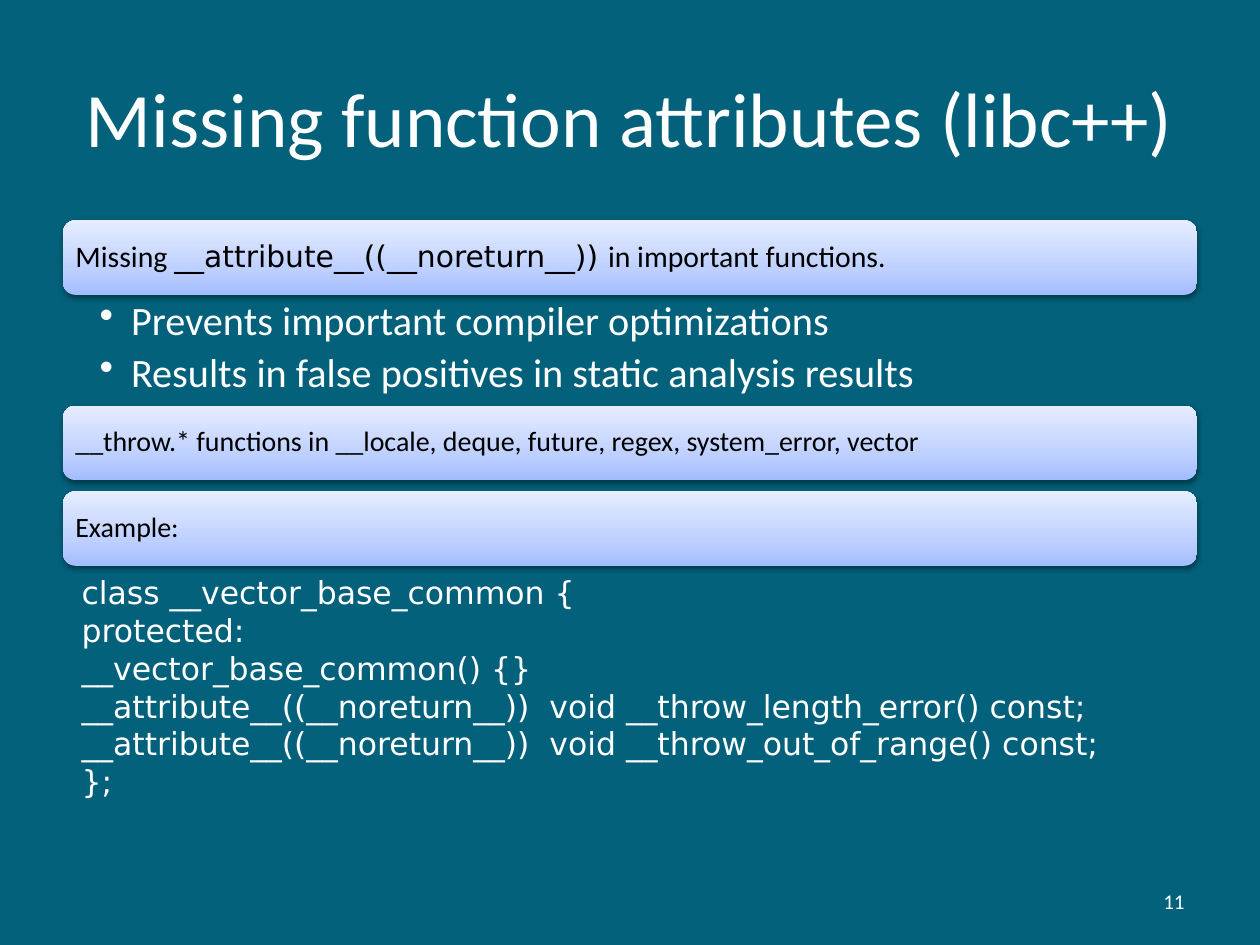
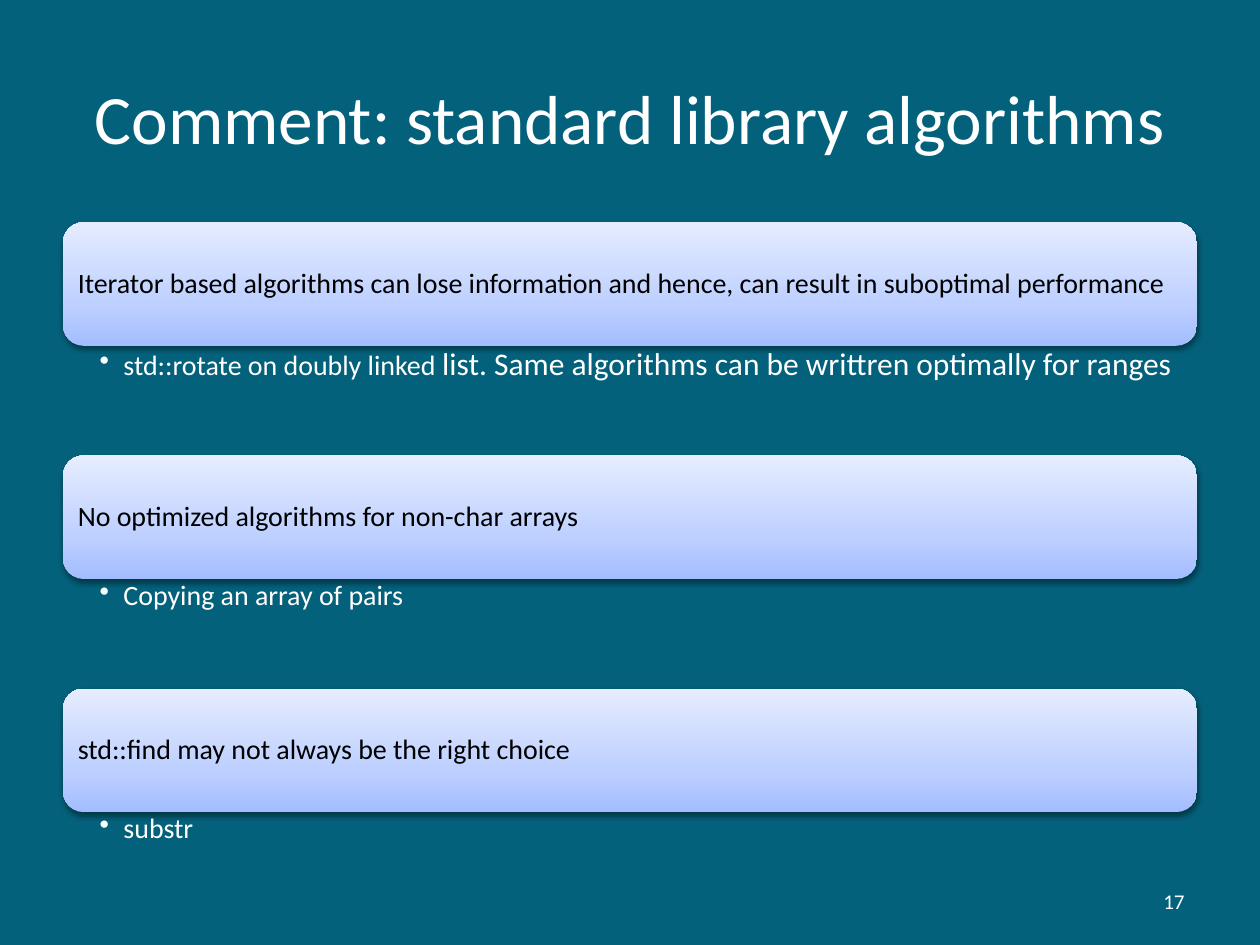
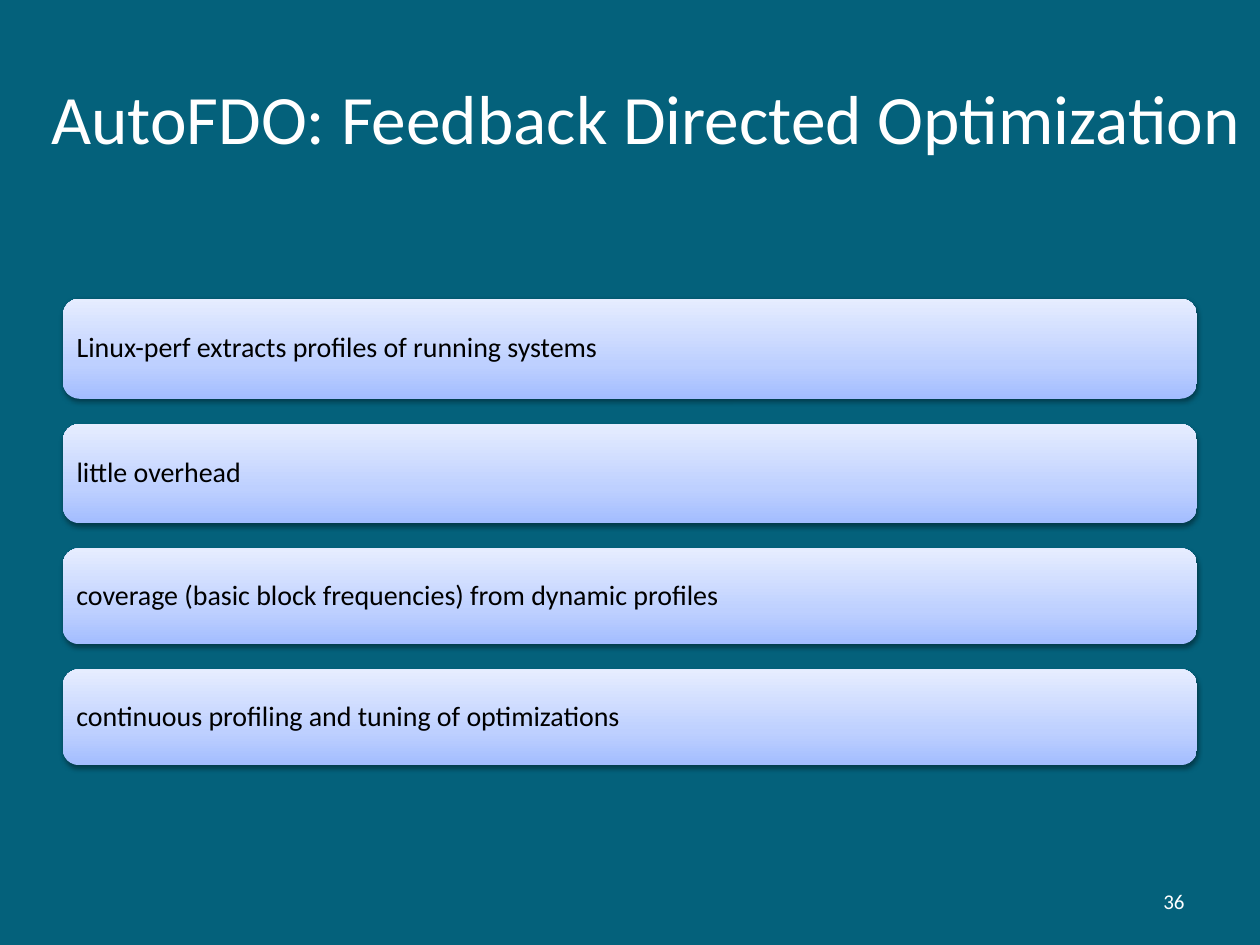
from copy import deepcopy
from dataclasses import dataclass

from lxml.etree import SubElement
from pptx import Presentation
from pptx.dml.color import RGBColor
from pptx.enum.shapes import MSO_SHAPE
from pptx.enum.text import MSO_ANCHOR, MSO_AUTO_SIZE, PP_ALIGN
from pptx.oxml.ns import qn
from pptx.util import Inches, Pt


@dataclass(frozen=True)
class Theme:
    """Colours, fonts and type sizes of the deck."""
    background: str = "04617B"
    light: str = "FFFFFF"
    dark: str = "000000"
    bar_stops: tuple = ((0, "A3BDFF"), (0.35, "BED0FF"), (1, "E6EDFF"))
    text_font: str = "Calibri"
    code_font: str = "DejaVu Sans"
    title: float = 44
    long_title: float = 39.6
    large_list: float = 23
    code: float = 18
    emphasis: float = 18
    signature: float = 17
    body: float = 16
    footer: float = 12


@dataclass(frozen=True)
class Box:
    """An area in inches, divided into 100 columns and 100 rows."""
    left: float
    top: float
    width: float
    height: float

    def cells(self, column, row, columns, rows):
        """Return the box that covers the given columns and rows."""
        return Box(self.left + self.width * column / 100, self.top + self.height * row / 100,
                   self.width * columns / 100, self.height * rows / 100)

    def emu(self):
        """Return left, top, width and height for a shape."""
        return [Inches(value) for value in (self.left, self.top, self.width, self.height)]


@dataclass(frozen=True)
class ListStyle:
    """Type size, hanging indent and insets of a bullet list."""
    size: float
    hanging: float
    insets: tuple


THEME = Theme()
PAGE = Box(0, 0, 10, 7.5)
TITLE = PAGE.cells(5, 4, 90, 16.67)
WIDE_TITLE = PAGE.cells(2.5, 4, 97.5, 16.67)
NUMBER = PAGE.cells(71.7, 92.67, 23.3, 5.33)
LARGE_LIST = ListStyle(THEME.large_list, 0.25, (0.29, 0.04, 0.23, 0.04))
SMALL_LIST = ListStyle(THEME.body, 0.19, (0.29, 0.02, 0.12, 0.02))


def set_insets(frame, insets):
    """Set the left, top, right and bottom insets in inches."""
    frame.margin_left, frame.margin_top, frame.margin_right, frame.margin_bottom = map(Inches, insets)


def write(paragraph, content, size, color, font=THEME.text_font):
    """Fill a paragraph from a string or from (text, font changes) runs."""
    paragraph.font.size = Pt(size)
    paragraph.font.name = font
    paragraph.font.color.rgb = RGBColor.from_string(color)
    runs = [(content, {})] if isinstance(content, str) else content
    for text, changes in runs:
        run = paragraph.add_run()
        run.text = text
        for name, value in changes.items():
            if name == "size":
                run.font.size = value
            else:
                run.font.name = value


def paragraphs_for(frame, lines):
    """Yield each line with the paragraph it belongs in."""
    for index, line in enumerate(lines):
        yield (frame.add_paragraph() if index else frame.paragraphs[0]), line


def add_label(slide, box, text, size, alignment):
    """Add one vertically centred line of light text."""
    frame = slide.shapes.add_textbox(*box.emu()).text_frame
    frame.word_wrap = True
    frame.vertical_anchor = MSO_ANCHOR.MIDDLE
    frame.paragraphs[0].alignment = alignment
    write(frame.paragraphs[0], text, size, THEME.light)


def style_bar(bar):
    """Give a bar its gradient, its soft shadow and no outline."""
    bar.line.fill.background()
    bar.fill.gradient()
    bar.fill.gradient_angle = 90
    properties = bar._element.spPr
    stop_list = properties.find(qn("a:gradFill")).find(qn("a:gsLst"))
    stop_list.append(deepcopy(stop_list[0]))
    for stop, (position, color) in zip(bar.fill.gradient_stops, THEME.bar_stops):
        stop.position = position
        stop.color.rgb = RGBColor.from_string(color)
    bar.shadow.inherit = False
    shadow = SubElement(properties.find(qn("a:effectLst")), qn("a:outerShdw"), blurRad=str(Pt(3.1)),
                        dist=str(Pt(1.6)), dir="5400000", rotWithShape="0")
    shadow_color = SubElement(shadow, qn("a:srgbClr"), val=THEME.dark)
    SubElement(shadow_color, qn("a:alpha"), val="38000")


def add_bar(slide, box, content, size=THEME.body):
    """Add a rounded gradient bar with its statement."""
    bar = slide.shapes.add_shape(MSO_SHAPE.ROUNDED_RECTANGLE, *box.emu())
    style_bar(bar)
    frame = bar.text_frame
    frame.word_wrap = True
    frame.vertical_anchor = MSO_ANCHOR.MIDDLE
    set_insets(frame, (0.07,) * 4)
    paragraph = frame.paragraphs[0]
    paragraph.alignment = PP_ALIGN.LEFT
    paragraph.line_spacing = 0.9
    write(paragraph, content, size, THEME.dark)


def add_list(slide, box, lines, style=SMALL_LIST):
    """Add a bullet list below a bar."""
    frame = slide.shapes.add_textbox(*box.emu()).text_frame
    frame.word_wrap = True
    set_insets(frame, style.insets)
    for paragraph, line in paragraphs_for(frame, lines):
        properties = paragraph._p.get_or_add_pPr()
        properties.set("marL", str(Inches(style.hanging)))
        properties.set("indent", str(-Inches(style.hanging)))
        SubElement(properties, qn("a:buChar"), char="•")
        paragraph.level = 1
        paragraph.line_spacing = 0.9
        paragraph.space_after = Pt(style.size * 0.2)
        write(paragraph, line, style.size, THEME.light)


def add_code(slide, box, lines):
    """Add a code listing, one paragraph a line."""
    frame = slide.shapes.add_textbox(*box.emu()).text_frame
    frame.word_wrap = False
    frame.auto_size = MSO_AUTO_SIZE.SHAPE_TO_FIT_TEXT
    for paragraph, line in paragraphs_for(frame, lines):
        write(paragraph, line, THEME.code, THEME.light, THEME.code_font)


def add_page(presentation, title, number, size=THEME.long_title, title_box=TITLE):
    """Add a slide with background, title and slide number."""
    slide = presentation.slides.add_slide(presentation.slide_layouts[6])
    slide.background.fill.solid()
    slide.background.fill.fore_color.rgb = RGBColor.from_string(THEME.background)
    add_label(slide, title_box, title, size, PP_ALIGN.CENTER)
    add_label(slide, NUMBER, str(number), THEME.footer, PP_ALIGN.RIGHT)
    return slide


def build_attributes(presentation, box):
    """Build the slide on missing function attributes."""
    slide = add_page(presentation, "Missing function attributes (libc++)", 11, THEME.title)
    bar_rows = 7.87
    signature = [("Missing ", {}),
                 ("__attribute__((__noreturn__)) ", {"name": THEME.code_font}),
                 ("in important functions.", {})]
    add_bar(slide, box.cells(5, 23.33, 90, bar_rows), signature, THEME.signature)
    add_list(slide, box.cells(5, 31.3, 90, 11.6),
             ["Prevents important compiler optimizations",
              "Results in false positives in static analysis results"], LARGE_LIST)
    statements = ["__throw.* functions in __locale, deque, future, regex, system_error, vector",
                  "Example:"]
    for index, statement in enumerate(statements):
        add_bar(slide, box.cells(5, 42.93 + index * (bar_rows + 1.2), 90, bar_rows), statement)
    add_code(slide, box.cells(5.5, 60, 89.5, 29.6),
             ["class __vector_base_common {",
              "protected:",
              "__vector_base_common() {}",
              "__attribute__((__noreturn__))  void __throw_length_error() const;",
              "__attribute__((__noreturn__))  void __throw_out_of_range() const;",
              "};"])


def build_algorithms(presentation, box):
    """Build the slide on standard library algorithms."""
    slide = add_page(presentation, "Comment: standard library algorithms", 17)
    rotate = [("std::rotate on doubly linked ", {}),
              ("list. Same algorithms can be writtren optimally for ranges",
               {"size": Pt(THEME.emphasis)})]
    sections = [
        ("Iterator based algorithms can lose information and hence, "
         "can result in suboptimal performance", rotate),
        ("No optimized algorithms for non-char arrays", "Copying an array of pairs"),
        ("std::find may not always be the right choice", "substr"),
    ]
    bar_rows, list_rows = 13.07, 11.6
    for index, (statement, detail) in enumerate(sections):
        row = 23.53 + index * (bar_rows + list_rows)
        add_bar(slide, box.cells(5, row, 90, bar_rows), statement)
        add_list(slide, box.cells(5, row + bar_rows, 90, list_rows), [detail])


def build_feedback(presentation, box):
    """Build the slide on feedback directed optimization."""
    slide = add_page(presentation, "AutoFDO: Feedback Directed Optimization", 36,
                     title_box=WIDE_TITLE)
    row, gap = 31.6, 2.67
    for statement, rows in [
        ("Linux-perf extracts profiles of running systems", 10.6),
        ("little overhead", 10.5),
        ("coverage (basic block frequencies) from dynamic profiles", 10.13),
        ("continuous profiling and tuning of optimizations", 10.13),
    ]:
        add_bar(slide, box.cells(5, row, 90, rows), statement)
        row += rows + gap


def main():
    """Build and save the deck."""
    presentation = Presentation()
    presentation.slide_width = Inches(PAGE.width)
    presentation.slide_height = Inches(PAGE.height)
    for build in (build_attributes, build_algorithms, build_feedback):
        build(presentation, PAGE)
    presentation.save("out.pptx")


if __name__ == "__main__":
    main()
